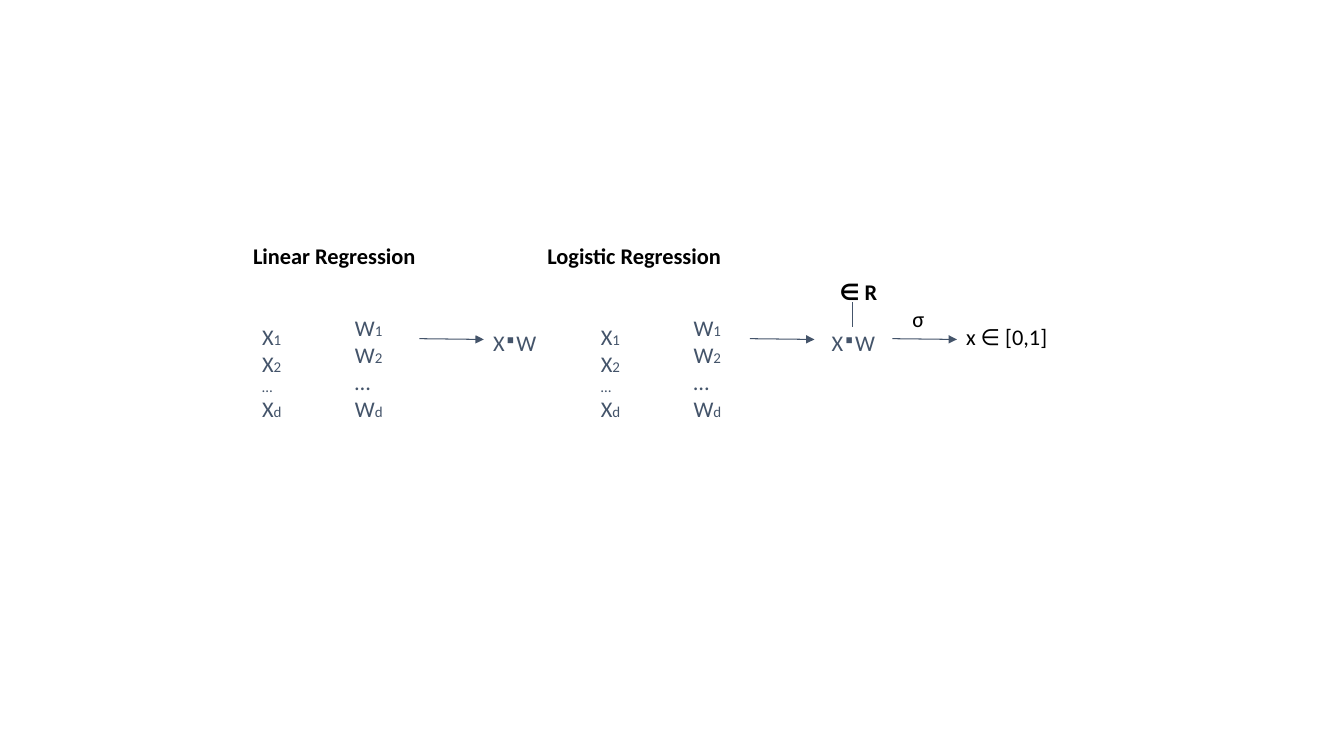
from lxml import etree
from pptx import Presentation
from pptx import util as u
from pptx.dml.color import RGBColor
from pptx.enum import shapes, text
from pptx.oxml.ns import qn

SLATE = RGBColor(0x44, 0x54, 0x6A)
BLACK = RGBColor(0, 0, 0)
FONT = "Calibri"
FULL, SUB, DOT = 16, 10.7, 22.2
INSET = u.Inches(0.09)


class Board:
    def __init__(self, deck):
        self.width, self.height = deck.slide_width, deck.slide_height
        self.slide = deck.slides.add_slide(deck.slide_layouts[5])

    def x(self, percent):
        return round(self.width * percent / 100)

    def y(self, percent):
        return round(self.height * percent / 100)

    def frame(self, holder):
        frame = holder.text_frame
        frame.word_wrap = True
        frame.vertical_anchor = text.MSO_ANCHOR.TOP
        frame.margin_left = frame.margin_right = INSET
        frame.margin_top = frame.margin_bottom = INSET
        frame.auto_size = text.MSO_AUTO_SIZE.SHAPE_TO_FIT_TEXT
        return frame

    def style(self, run, size, color, bold):
        run.font.name = FONT
        run.font.size = u.Pt(size)
        run.font.bold = bold
        run.font.color.rgb = color

    def heading(self, words, left, top, width, height, tab):
        title = self.slide.shapes.title
        title.left, title.top = self.x(left), self.y(top)
        title.width, title.height = self.x(width), self.y(height)
        frame = self.frame(title)
        frame.text = words
        line = frame.paragraphs[0]
        line.alignment = text.PP_ALIGN.LEFT
        stops = etree.SubElement(line._p.get_or_add_pPr(), qn("a:tabLst"))
        etree.SubElement(stops, qn("a:tab"), pos=str(self.x(tab)), algn="l")
        self.style(line.runs[0], FULL, BLACK, True)

    def formula(self, lines, left, top, width, height, color=SLATE, bold=False):
        box = self.slide.shapes.add_textbox(
            self.x(left), self.y(top), self.x(width), self.y(height))
        frame = self.frame(box)
        for index, parts in enumerate(lines):
            line = frame.add_paragraph() if index else frame.paragraphs[0]
            for words, size in parts:
                run = line.add_run()
                run.text = words
                self.style(run, size, color, bold or size == DOT)

    def line(self, start, end, arrow=True):
        link = self.slide.shapes.add_connector(
            shapes.MSO_CONNECTOR.STRAIGHT,
            self.x(start[0]), self.y(start[1]), self.x(end[0]), self.y(end[1]))
        link.line.color.rgb = SLATE
        link.line.width = u.Pt(0.75)
        if arrow:
            etree.SubElement(link.line._get_or_add_ln(), qn("a:tailEnd"), type="triangle")
        etree.SubElement(link._element.spPr, qn("a:effectLst"))


def vector(letter, dots):
    return [[(letter, FULL), ("1", SUB)], [(letter, FULL), ("2", SUB)],
            [("…", dots)], [(letter, FULL), ("d", SUB)]]


def main():
    deck = Presentation()
    deck.slide_width, deck.slide_height = u.Inches(13.33), u.Inches(7.5)
    board = Board(deck)
    board.heading("Linear Regression\tLogistic Regression", 18.15, 30.8, 62.85, 6, 21.9)

    for model in (18.83, 44.03):
        board.formula(vector("X", SUB), model, 41.6, 5.9, 15.6)
        board.formula(vector("W", FULL), model + 6.9, 40.4, 3.7, 16.8)
        board.formula([[("X", FULL), ("⋅", DOT), ("W", FULL)]],
                      model + 17.18, 41.2, 29.8, 7.3)

    for tail in (31.2, 55.8, 66.4):
        board.line((tail, 44.8), (tail + 4.8, 44.9))
    board.line((63.45, 40), (63.45, 43.3), arrow=False)

    for words, left, top, bold in (("∈ R", 61.8, 35.6, True),
                                   ("σ", 67.2, 39.1, False),
                                   ("x ∈ [0,1]", 71.2, 41.6, False)):
        board.formula([[(words, FULL)]], left, top, 21.9, 6, BLACK, bold)

    deck.save("out.pptx")


if __name__ == "__main__":
    main()
